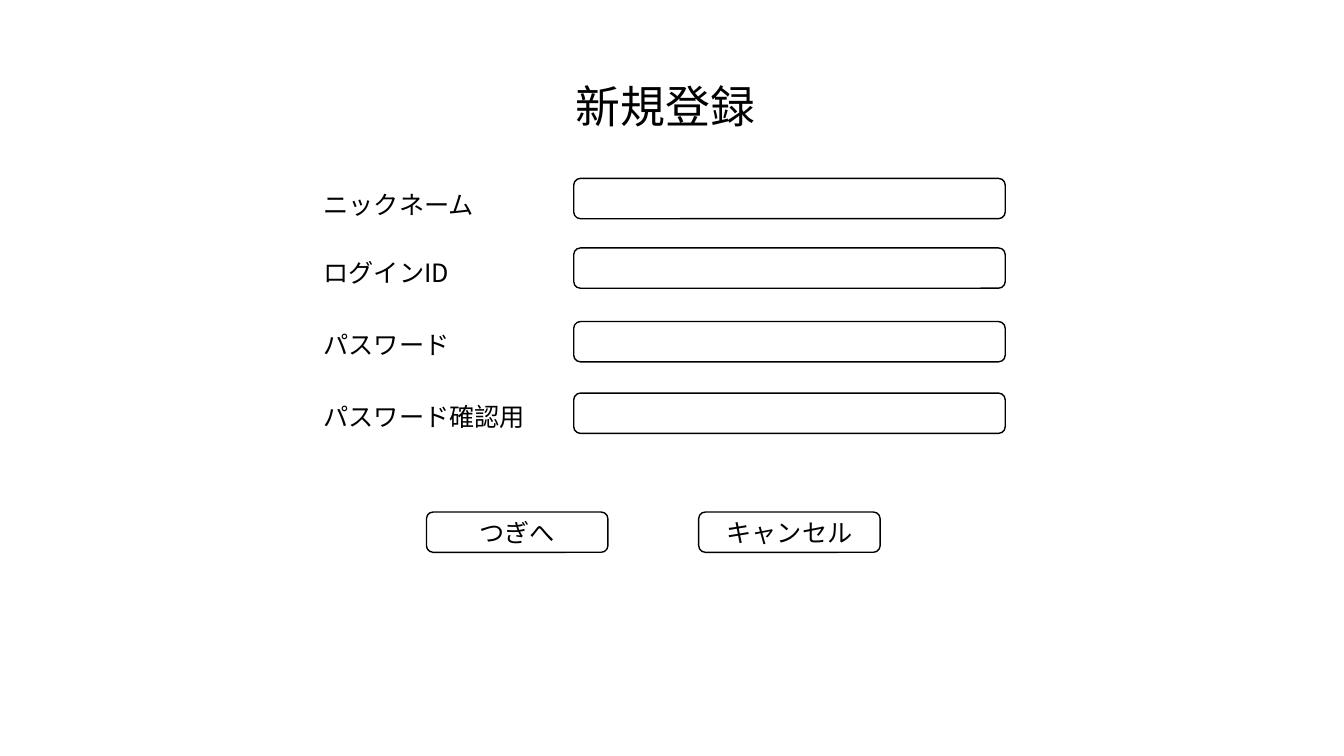
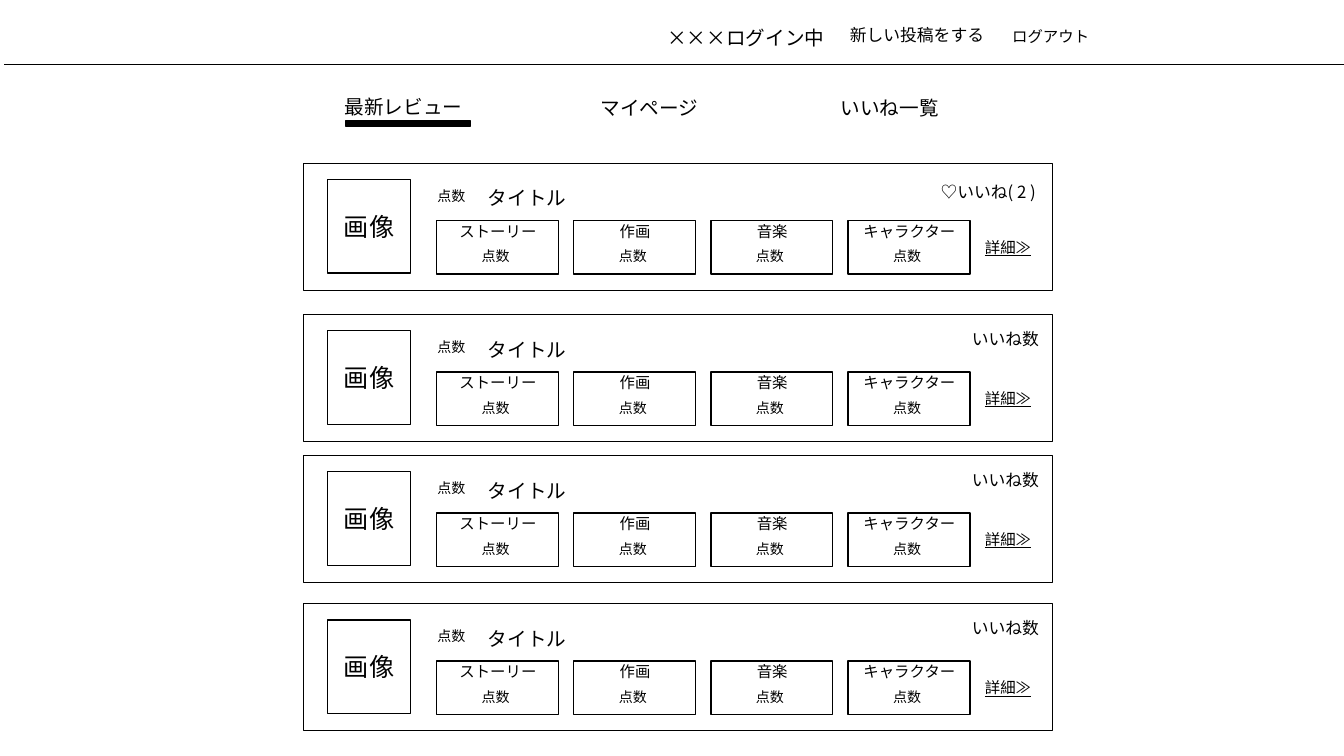
"""Build the sign-up and review list wireframes."""
from lxml import etree
from pptx import Presentation
from pptx.dml.color import RGBColor
from pptx.enum import shapes as kinds, text as enums
from pptx.oxml import ns
from pptx.util import Inches, Pt

BLACK = RGBColor(0x00, 0x00, 0x00)
WHITE = RGBColor(0xFF, 0xFF, 0xFF)
FONT = "Noto Sans CJK JP"
TITLE_ONLY, BLANK = 5, 6
LEFT, CENTER = enums.PP_ALIGN.LEFT, enums.PP_ALIGN.CENTER
TOP, MIDDLE = enums.MSO_ANCHOR.TOP, enums.MSO_ANCHOR.MIDDLE
RECTANGLE = kinds.MSO_SHAPE.RECTANGLE
ROUNDED = kinds.MSO_SHAPE.ROUNDED_RECTANGLE

FIELDS = [("ニックネーム", 1.83, 1.77), ("ログインID", 2.5, 2.46),
          ("パスワード", 3.22, 3.19), ("パスワード確認用", 3.93, 3.9)]
BUTTONS = [("つぎへ", 4.23), ("キャンセル", 6.93)]
MENU = [("×××ログイン中", 6.52, 0.21, 14), ("新しい投稿をする", 8.33, 0.2, 12),
        ("ログアウト", 9.94, 0.22, 11)]
TABS = [("最新レビュー", 3.32, 0.89), ("マイページ", 5.86, 0.9),
        ("いいね一覧", 8.24, 0.9)]
CARDS = [(1.62, "♡いいね( 2 )", 9.23, 0.13), (3.12, "いいね数", 9.54, 0.09),
         (4.52, "いいね数", 9.54, 0.09), (5.99, "いいね数", 9.54, 0.09)]
CRITERIA = ["ストーリー", "作画", "音楽", "キャラクター"]
TILE_LEFT, TILE_PITCH, TILE_WIDTH = 4.33, 1.36, 1.21


def apply(target, values):
    """Set each named attribute of the target."""
    for name, value in values.items():
        setattr(target, name, value)


def write(shape, content, size, align=LEFT, anchor=TOP, underline=None):
    """Put one formatted paragraph into a shape."""
    apply(shape.text_frame, {
        "word_wrap": True, "vertical_anchor": anchor,
        "margin_left": Inches(0.1), "margin_right": Inches(0.1),
        "margin_top": Inches(0.05), "margin_bottom": Inches(0.05)})
    paragraph = shape.text_frame.paragraphs[0]
    apply(paragraph, {"alignment": align, "line_spacing": 1.0,
                      "space_before": Pt(0)})
    run = paragraph.add_run()
    run.text = content
    apply(run.font, {"name": FONT, "size": Pt(size), "underline": underline})
    run.font.color.rgb = BLACK
    latin = run.font._element.find(ns.qn("a:latin"))
    east_asian = etree.Element(ns.qn("a:ea"), typeface=FONT)
    latin.addnext(east_asian)


def add_label(shapes, content, left, top, width, height, size, **style):
    """Add a text box that grows with its text."""
    label = shapes.add_textbox(
        Inches(left), Inches(top), Inches(width), Inches(height))
    write(label, content, size, **style)
    label.text_frame.auto_size = enums.MSO_AUTO_SIZE.SHAPE_TO_FIT_TEXT


def add_box(shapes, kind, left, top, width, height, content="", fill=WHITE):
    """Add an outlined box with an optional centred caption."""
    box = shapes.add_shape(
        kind, Inches(left), Inches(top), Inches(width), Inches(height))
    box.shadow.inherit = False
    box.fill.solid()
    box.fill.fore_color.rgb = fill
    box.line.color.rgb = BLACK
    box.line.width = Pt(1)
    if content:
        write(box, content, 18, align=CENTER, anchor=MIDDLE)


def add_rule(shapes, left, top, right):
    """Add a thin horizontal line."""
    rule = shapes.add_connector(
        kinds.MSO_CONNECTOR.STRAIGHT,
        Inches(left), Inches(top), Inches(right), Inches(top))
    rule.line.color.rgb = BLACK
    rule.line.width = Pt(0.5)
    etree.SubElement(rule._element.spPr, ns.qn("a:effectLst"))


def add_title(slide, content, left, top, width, height):
    """Place and format the slide title."""
    apply(slide.shapes.title, {
        "left": Inches(left), "top": Inches(top),
        "width": Inches(width), "height": Inches(height)})
    write(slide.shapes.title, content, 32)


def add_tile(shapes, criterion, left, top):
    """Add the score tile of one criterion."""
    add_box(shapes, RECTANGLE, left, top, TILE_WIDTH, 0.53)
    add_label(shapes, criterion, left - 0.02, top - 0.04, 1.26, 0.29, 11,
              align=CENTER)
    add_label(shapes, "点数", left + 0.35, top + 0.22, 0.5, 0.27, 10)


def add_card(slide, top, likes, likes_left, likes_offset):
    """Add one review card as a group."""
    shapes = slide.shapes.add_group_shape().shapes
    add_box(shapes, RECTANGLE, 3.01, top, 7.43, 1.26)
    add_box(shapes, RECTANGLE, 3.25, top + 0.16, 0.82, 0.93, "画像")
    add_label(shapes, "点数", 4.24, top + 0.19, 0.5, 0.27, 10)
    add_label(shapes, "タイトル", 4.74, top + 0.18, 0.98, 0.34, 14)
    add_label(shapes, likes, likes_left, top + likes_offset, 1.21, 0.3, 12)
    add_label(shapes, "詳細≫", 9.67, top + 0.69, 0.87, 0.29, 11,
              underline=True)
    for column, criterion in enumerate(CRITERIA):
        add_tile(shapes, criterion, TILE_LEFT + column * TILE_PITCH,
                 top + 0.57)


def build_sign_up(presentation):
    """Build the sign-up form slide."""
    slide = presentation.slides.add_slide(
        presentation.slide_layouts[TITLE_ONLY])
    add_title(slide, "新規登録", 5.61, 0.73, 2.12, 0.64)
    for name, label_top, field_top in FIELDS:
        add_label(slide.shapes, name, 3.11, label_top, 2.24, 0.4, 18)
        add_box(slide.shapes, ROUNDED, 5.69, field_top, 4.28, 0.4)
    for caption, left in BUTTONS:
        add_box(slide.shapes, ROUNDED, left, 5.08, 1.8, 0.4, caption)


def build_reviews(presentation):
    """Build the review list slide."""
    slide = presentation.slides.add_slide(presentation.slide_layouts[BLANK])
    for caption, left, top, size in MENU:
        add_label(slide.shapes, caption, left, top, 1.85, 0.34, size)
    add_rule(slide.shapes, 0.04, 0.64, 13.37)
    for caption, left, top in TABS:
        add_label(slide.shapes, caption, left, top, 1.4, 0.34, 14)
    add_box(slide.shapes, RECTANGLE, 3.43, 1.2, 1.24, 0.05, fill=BLACK)
    for card in CARDS:
        add_card(slide, *card)


def main():
    """Create and save the presentation."""
    presentation = Presentation()
    apply(presentation, {"slide_width": Inches(13.33),
                         "slide_height": Inches(7.5)})
    build_sign_up(presentation)
    build_reviews(presentation)
    presentation.save("out.pptx")


main()
